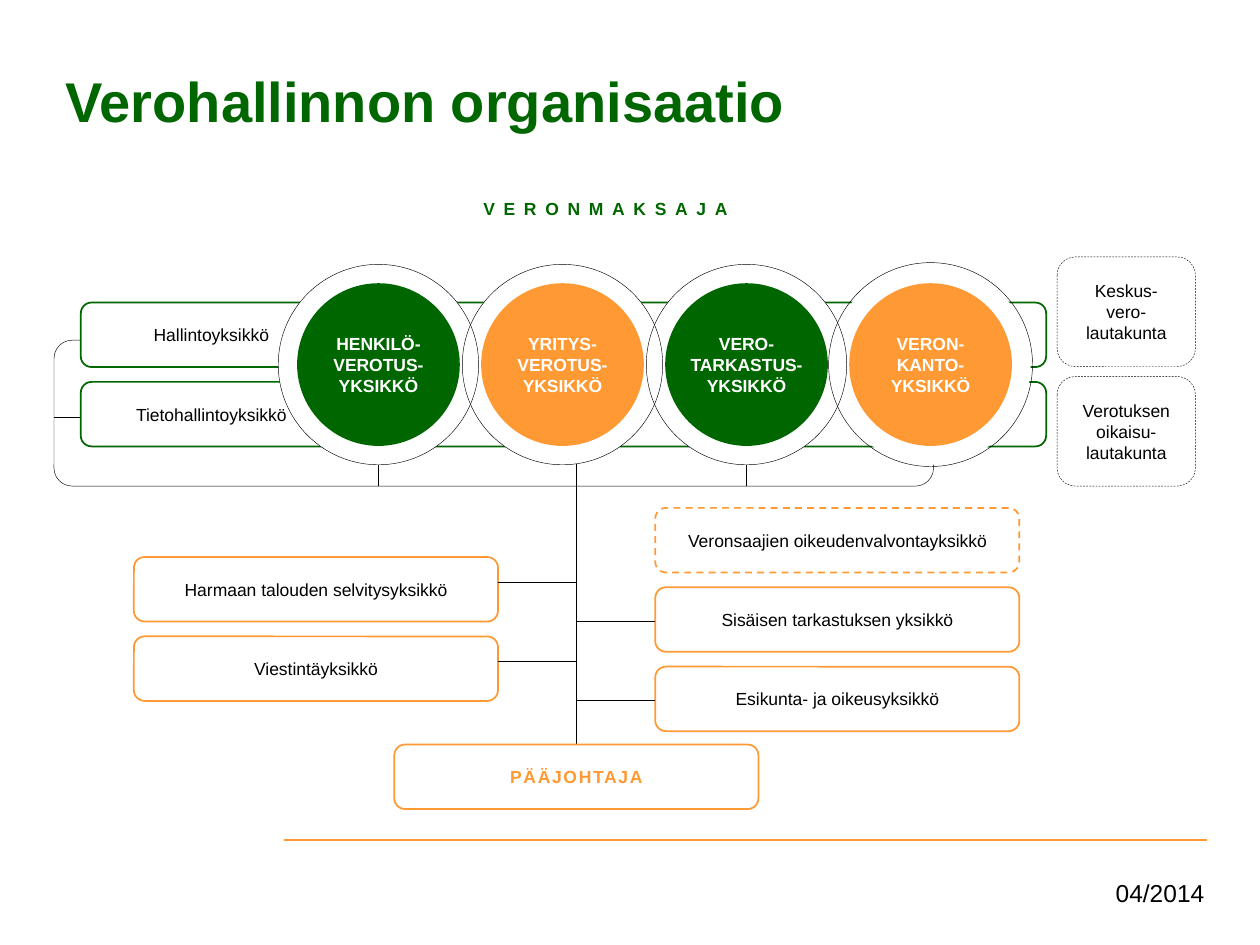
"""Build the organisation chart slide of the tax administration."""
from lxml import etree
from pptx import Presentation
from pptx.dml.color import RGBColor
from pptx.enum.dml import MSO_LINE
from pptx.enum.shapes import MSO_CONNECTOR, MSO_SHAPE
from pptx.enum.text import MSO_ANCHOR, PP_ALIGN
from pptx.oxml.ns import qn
from pptx.util import Cm, Pt

GREEN = RGBColor(0x00, 0x66, 0x00)
ORANGE = RGBColor(0xFF, 0x99, 0x33)
BLACK = RGBColor(0, 0, 0)
WHITE = RGBColor(255, 255, 255)
ROUND, OVAL = MSO_SHAPE.ROUNDED_RECTANGLE, MSO_SHAPE.OVAL
DASH, STRAIGHT = MSO_LINE.DASH, MSO_CONNECTOR.STRAIGHT
LEFT, CENTER, RIGHT = PP_ALIGN.LEFT, PP_ALIGN.CENTER, PP_ALIGN.RIGHT
MIDDLE, TOP = MSO_ANCHOR.MIDDLE, MSO_ANCHOR.TOP
FONT = "Arial"
HAIR = 0.25
PAD = 0.1

TITLE = "Verohallinnon organisaatio"
TAXPAYER = "VERONMAKSAJA"
DATE = "04/2014"
SUPPORT_UNITS = ["Hallintoyksikkö", "Tietohallintoyksikkö"]
CORE_UNITS = [
    ("HENKILÖ-\nVEROTUS-\nYKSIKKÖ", GREEN, 4.04),
    ("YRITYS-\nVEROTUS-\nYKSIKKÖ", ORANGE, 4.04),
    ("VERO-\nTARKASTUS-\nYKSIKKÖ", GREEN, 4.04),
    ("VERON-\nKANTO-\nYKSIKKÖ", ORANGE, 4.11),
]
RIGHT_STAFF = [
    ("Veronsaajien oikeudenvalvontayksikkö", DASH),
    ("Sisäisen tarkastuksen yksikkö", None),
    ("Esikunta- ja oikeusyksikkö", None),
]
LEFT_STAFF = ["Harmaan talouden selvitysyksikkö", "Viestintäyksikkö"]
DIRECTOR = "PÄÄJOHTAJA"
BOARDS = ["Keskus-\nvero-\nlautakunta", "Verotuksen oikaisu-\nlautakunta"]

BOX_W, BOX_H, BOX_STEP = 7.34, 1.3, 1.6
CORE_X, CORE_Y, CORE_STEP = 7.63, 7.35, 3.71
DISC, HALO = 3.28, 4.04
TRUNK_X, FRAME_BOTTOM = 11.62, 9.8

prs = Presentation()
prs.slide_width, prs.slide_height = Cm(25.4), Cm(19.05)
s = prs.slides.add_slide(prs.slide_layouts[5])


def write(sp, text, size=10, color=BLACK, bold=False, spacing=0,
          align=CENTER, anchor=MIDDLE, pads=(PAD,) * 4, wrap=True):
    tf = sp.text_frame
    tf.word_wrap = wrap
    tf.vertical_anchor = anchor
    tf.margin_left, tf.margin_top, tf.margin_right, tf.margin_bottom = map(Cm, pads)
    p = tf.paragraphs[0]
    p.alignment = align
    for i, part in enumerate(text.split("\n")):
        if i:
            p.add_line_break()
        r = p.add_run()
        r.text = part
        r.font.name, r.font.size, r.font.bold = FONT, Pt(size), bold
        r.font.color.rgb = color
        if spacing:
            r.font._element.set("spc", str(spacing * 100))


def shape(kind, x, y, w, h, fill=None, line=None, width=1, dash=None):
    sp = s.shapes.add_shape(kind, Cm(x), Cm(y), Cm(w), Cm(h))
    sp.shadow.inherit = False
    if fill is None:
        sp.fill.background()
    else:
        sp.fill.solid()
        sp.fill.fore_color.rgb = fill
    if line is None:
        sp.line.fill.background()
    else:
        sp.line.color.rgb = line
        sp.line.width = Pt(width)
        if dash is not None:
            sp.line.dash_style = dash
    return sp


def circle(i, d, **style):
    x = CORE_X + i * CORE_STEP
    return shape(OVAL, x - d / 2, CORE_Y - d / 2, d, d, **style)


def line(x1, y1, x2, y2, color=BLACK, width=HAIR):
    c = s.shapes.add_connector(STRAIGHT, Cm(x1), Cm(y1), Cm(x2), Cm(y2))
    c.line.color.rgb = color
    c.line.width = Pt(width)
    etree.SubElement(c._element.spPr, qn("a:effectLst"))


def staff_box(text, x, y, dash=None, **style):
    sp = shape(ROUND, x, y, BOX_W, BOX_H, WHITE, ORANGE, dash=dash)
    write(sp, text, **style)


def text_box(text, x, y, w, h, **style):
    write(s.shapes.add_textbox(Cm(x), Cm(y), Cm(w), Cm(h)), text, **style)


title = s.shapes.title
title.left, title.top, title.width, title.height = Cm(1.07), Cm(0.43), Cm(21.59), Cm(3.18)
write(title, TITLE, 32, GREEN, True, align=LEFT, pads=(0.25, 0.13, 0.25, 0.13))
line(5.72, 16.93, 24.33, 16.93, ORANGE, 1.5)
text_box(DATE, 19.25, 17.58, 5.28, 1.27, size=14, align=RIGHT, anchor=TOP,
         pads=(0.25, 0.13, 0.25, 0.13))
text_box(TAXPAYER, 1.7, 3.89, 21.01, 0.64, color=GREEN, bold=True, spacing=5, anchor=TOP)

frame = shape(ROUND, 1.09, 6.86, 17.73, FRAME_BOTTOM - 6.86, line=BLACK, width=HAIR)
frame.adjustments[0] = 0.124
line(1.09, 8.41, 1.63, 8.41)
for i, text in enumerate(SUPPORT_UNITS):
    sp = shape(ROUND, 1.63, 6.1 + i * BOX_STEP, 19.46, BOX_H, WHITE, GREEN)
    write(sp, text, pads=(PAD, PAD, 14.3, PAD))

line(TRUNK_X, 9.35, TRUNK_X, 15.01)
for i in range(len(CORE_UNITS)):
    circle(i, HALO, fill=WHITE)
for i, (text, color, ring) in enumerate(CORE_UNITS):
    write(circle(i, DISC, fill=color), text, color=WHITE, bold=True,
          pads=(0,) * 4, wrap=False)
    circle(i, ring, line=BLACK, width=HAIR)
for i in (0, 2):
    x = CORE_X + i * CORE_STEP
    line(x, FRAME_BOTTOM, x, CORE_Y + HALO / 2)

for i, (text, dash) in enumerate(RIGHT_STAFF):
    y = 10.24 + i * BOX_STEP
    staff_box(text, 13.21, y, dash)
    if dash is None:
        line(TRUNK_X, y + 0.68, 13.21, y + 0.68)
for i, text in enumerate(LEFT_STAFF):
    y = 11.23 + i * BOX_STEP
    staff_box(text, 2.7, y)
    line(2.7 + BOX_W, y + 0.5, TRUNK_X, y + 0.5)
staff_box(DIRECTOR, 7.95, 15.01, color=ORANGE, bold=True, spacing=1)

for i, text in enumerate(BOARDS):
    sp = shape(ROUND, 21.31, 5.18 + i * 2.41, 2.79, 2.21, WHITE, BLACK, HAIR, DASH)
    write(sp, text)

prs.save("out.pptx")
